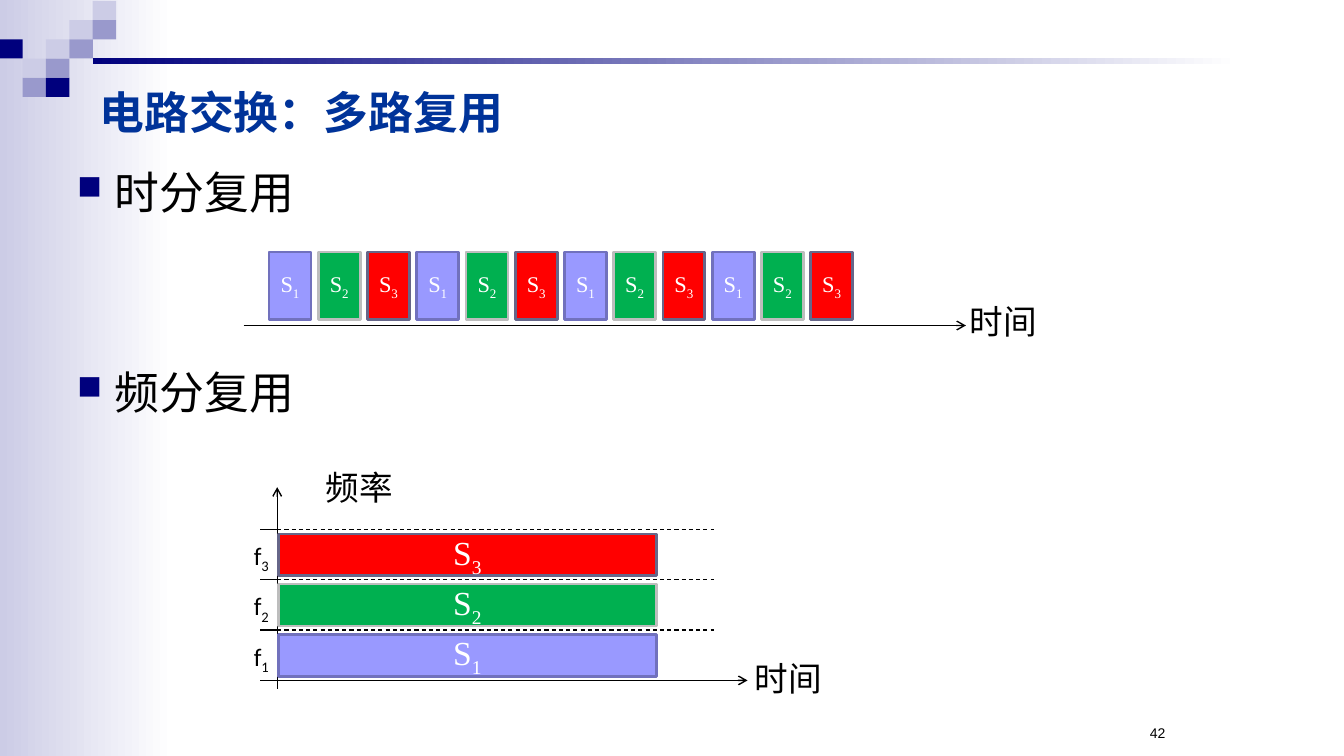
from lxml import etree
from pptx import Presentation
from pptx.dml.color import RGBColor
from pptx.enum.dml import MSO_LINE
from pptx.enum.shapes import MSO_CONNECTOR, MSO_SHAPE
from pptx.enum.text import MSO_ANCHOR, PP_ALIGN
from pptx.oxml.ns import qn
from pptx.util import Pt

RECTANGLE = MSO_SHAPE.RECTANGLE
STRAIGHT = MSO_CONNECTOR.STRAIGHT
DASH = MSO_LINE.DASH
LEFT, CENTER, RIGHT = PP_ALIGN.LEFT, PP_ALIGN.CENTER, PP_ALIGN.RIGHT
MIDDLE = MSO_ANCHOR.MIDDLE

COLORS = {
    "white": "FFFFFF", "black": "000000", "title": "003399",
    "navy": "00007D", "mid": "9999CC", "pale": "CCCCE6",
    "blue": "9999FF", "blue_edge": "7171BD",
    "green": "00B050", "green_edge": "BDBDBD",
    "red": "FF0000", "red_edge": "666689",
}
SIGNALS = ["blue", "green", "red"]


def add_block(left, top, width, height, fill, edge=None, fade=False):
    block = page.shapes.add_shape(RECTANGLE, Pt(left), Pt(top), Pt(width), Pt(height))
    block.shadow.inherit = False
    if fade:
        block.fill.gradient()
        block.fill.gradient_angle = 0
        for stop, name, position in zip(block.fill.gradient_stops, [fill, "white"], [0, 1]):
            stop.color.rgb = RGBColor.from_string(COLORS[name])
            stop.position = position
    else:
        block.fill.solid()
        block.fill.fore_color.rgb = RGBColor.from_string(COLORS[fill])
    if edge:
        block.line.color.rgb = RGBColor.from_string(COLORS[edge])
        block.line.width = Pt(2)
    else:
        block.line.fill.background()
    return block


def write(box, text, size, font, color="black", align=LEFT, subscript=None, wrap=True):
    box.text_frame.word_wrap = wrap
    para = box.text_frame.paragraphs[0]
    para.text = text
    para.alignment = align
    if subscript:
        low = para.add_run()
        low.text = str(subscript)
        low._r.get_or_add_rPr().set("baseline", "-25000")
    for span in para.runs:
        span.font.size = Pt(size)
        span.font.name = font
        span.font.color.rgb = RGBColor.from_string(COLORS[color])


deck = Presentation()
deck.slide_width, deck.slide_height = Pt(960), Pt(540)
page = deck.slides.add_slide(deck.slide_layouts[6])

add_block(0, 0, 124.5, 540, "pale", fade=True)
squares = [
    (1, 4, "mid"), (3, 1, "pale"), (4, 0, "pale"), (2, 4, "navy"), (4, 1, "mid"),
    (2, 2, "pale"), (0, 2, "navy"), (3, 2, "mid"), (1, 3, "pale"), (2, 3, "mid"),
]
for column, row, color in squares:
    add_block(-0.6 + 16.7 * column, 0.7 + 13.7 * row, 16.8, 13.7, color)
add_block(66.5, 41.5, 818.5, 4.3, "navy", fade=True)

title = page.shapes.add_textbox(Pt(64), Pt(54), Pt(657), Pt(51))
title.text_frame.vertical_anchor = MIDDLE
write(title, "电路交换：多路复用", 32, "Times New Roman", "title")
title.text_frame.paragraphs[0].runs[0].font.bold = True

topics = page.shapes.add_textbox(Pt(48), Pt(113.8), Pt(219), Pt(402.5))
topics.text_frame.word_wrap = True
topics.text_frame.text = "时分复用\n频分复用"
for para in topics.text_frame.paragraphs:
    properties = para._p.get_or_add_pPr()
    properties.set("marL", str(Pt(27)))
    properties.set("indent", str(Pt(-27)))
    bullet_color = etree.SubElement(properties, qn("a:buClr"))
    etree.SubElement(bullet_color, qn("a:srgbClr")).set("val", COLORS["navy"])
    etree.SubElement(properties, qn("a:buSzPct")).set("val", "75000")
    etree.SubElement(properties, qn("a:buChar")).set("char", "■")
    for span in para.runs:
        span.font.size = Pt(32)
        span.font.name = "Times New Roman"
        span.font.color.rgb = RGBColor.from_string(COLORS["black"])
topics.text_frame.paragraphs[1].space_before = Pt(105)

number = page.shapes.add_textbox(Pt(672), Pt(514), Pt(167.5), Pt(36))
write(number, "42", 10, "Arial", align=RIGHT)

levels = [378, 414, 450]
lines = [
    (174, 232.5, 690, 232.5, "arrow"),
    (186, 486, 534, 486, "arrow"),
    (198, 492, 198, 348, "arrow"),
]
lines += [(186, level, 198, level, "tick") for level in levels]
lines += [(198, level, 510, level, "dash") for level in levels]
for x1, y1, x2, y2, style in lines:
    line = page.shapes.add_connector(STRAIGHT, Pt(x1), Pt(y1), Pt(x2), Pt(y2))
    line.line.color.rgb = RGBColor.from_string(COLORS["black"])
    line.line.width = Pt(0.75 if style == "dash" else 1)
    if style == "dash":
        line.line.dash_style = DASH
    if style == "arrow":
        etree.SubElement(line.line._get_or_add_ln(), qn("a:tailEnd")).set("type", "arrow")
    etree.SubElement(line._element.spPr, qn("a:effectLst"))

slots = [(192.2 + 35.17 * i, 180, 30, 48, i % 3, 16) for i in range(12)]
bands = [(198.9, 453 - 35.8 * i, 270, 30, i, 24) for i in range(3)]
for left, top, width, height, signal, size in slots + bands:
    color = SIGNALS[signal]
    block = add_block(left, top, width, height, color, color + "_edge")
    block.text_frame.vertical_anchor = MIDDLE
    write(block, "S", size, "Times New Roman", "white", CENTER, signal + 1)

for text, left, top, width in [("时间", 680.5, 211.7, 72), ("时间", 527, 466.5, 72), ("频率", 198, 330, 117)]:
    label = page.shapes.add_textbox(Pt(left), Pt(top), Pt(width), Pt(36))
    write(label, text, 24, "Calibri", align=CENTER)

for i in range(3):
    label = page.shapes.add_textbox(Pt(174.2), Pt(454.3 - 36 * i), Pt(26), Pt(29))
    write(label, "f", 18, "Calibri", subscript=i + 1, wrap=False)

deck.save("out.pptx")
